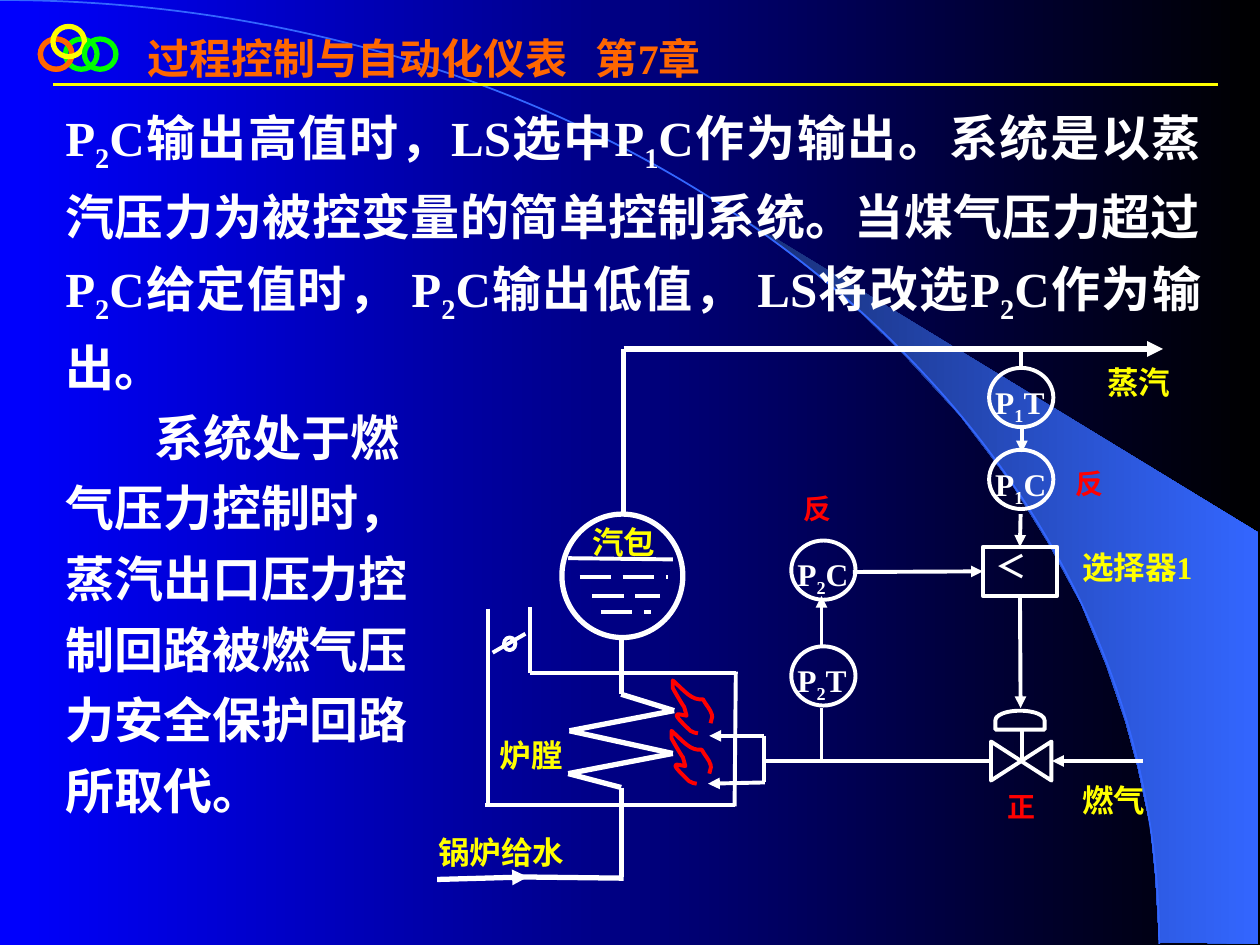
from itertools import groupby

from lxml import etree
from pptx import Presentation
from pptx.dml.color import RGBColor
from pptx.enum.dml import MSO_LINE
from pptx.enum.shapes import MSO_CONNECTOR, MSO_SHAPE
from pptx.enum.text import MSO_ANCHOR, PP_ALIGN
from pptx.oxml.ns import qn
from pptx.util import Pt

PX = 9144
STRAIGHT = MSO_CONNECTOR.STRAIGHT
OVAL, RECTANGLE = MSO_SHAPE.OVAL, MSO_SHAPE.RECTANGLE
JOINT, COLLATE = MSO_SHAPE.FLOWCHART_CONNECTOR, MSO_SHAPE.FLOWCHART_COLLATE
DELAY, LONG_DASH = MSO_SHAPE.FLOWCHART_DELAY, MSO_LINE.LONG_DASH
JUSTIFY, TOP = PP_ALIGN.JUSTIFY, MSO_ANCHOR.TOP
LATIN, CJK = "Times New Roman", "Noto Sans CJK SC"
THICK, THIN = 3, 2.25

COLORS = {
    "blue": "0000FF", "black": "000000", "navy": "182F76", "sky": "3366FF",
    "red": "FF0000", "vermilion": "FF3300", "orange": "FF6600",
    "green": "00FF00", "yellow": "FFFF00", "white": "FFFFFF",
}

TITLE = "过程控制与自动化仪表\t第7章"
HIGH_OUTPUT = (
    "P_2C输出高值时，LS选中P_1C作为输出。系统是以蒸汽压力为被控变量的简单控制系统。"
    "当煤气压力超过P_2C给定值时， P_2C输出低值， LS将改选P_2C作为输出。"
)
PROTECTION = "系统处于燃气压力控制时，蒸汽出口压力控制回路被燃气压力安全保护回路所取代。"
LABELS = [
    ("燃气", 849, 609, 81), ("锅炉给水", 338, 650, 146), ("蒸汽", 869, 277, 89),
    ("汽包", 460, 404, 89), ("炉膛", 387, 573, 80), ("选择器1", 849, 424, 127),
]
ACTIONS = [("反", 628, 380), ("反", 844, 360), ("正", 790, 616)]
INSTRUMENTS = [("P_2C", 628, 429), ("P_2T", 628, 513), ("P_1T", 785, 292), ("P_1C", 785, 357)]
RINGS = [("vermilion", 32, 31), ("green", 52, 31), ("orange", 32, 31),
         ("yellow", 42, 21), ("green", 67, 31)]

SWOOSH = [
    (920, 748), (999, 749), (999, 423), (589, 173), (624, 199), (653, 222),
    (685, 250), (716, 280), (762, 330), (803, 384), (832, 431), (858, 479),
    (878, 528), (893, 572), (903, 609), (913, 656), (917, 696),
]
ARC = [(0, 0), (508, 0), (920, 335), (920, 749)]
FLAME = [
    (554, 582), (552, 581), (550, 582), (548, 580), (530, 563), (538, 567),
    (545, 568), (544, 566), (544, 563), (543, 561), (542, 560), (535, 548),
    (534, 546), (534, 544), (534, 542), (534, 540), (544, 549), (549, 556),
    (558, 555), (560, 559), (564, 563), (565, 567), (566, 570), (564, 571), (564, 574),
]
FLAME_SHIFTS = [(0, 0), (-1, 40)]

THICK_PIPES = [
    [(495, 697), (414, 696)],
    [(493, 506), (493, 551), (535, 564), (452, 580), (534, 598), (451, 614), (493, 625), (493, 696)],
    [(495, 408), (495, 277)],
]
THICK_FLOWS = [[(347, 698), (419, 696)], [(495, 277), (923, 277)]]
THIN_PIPES = [
    [(387, 483), (387, 639)], [(385, 639), (583, 639)], [(583, 640), (584, 533)],
    [(584, 534), (421, 534), (421, 482)], [(608, 604), (788, 604)],
    [(451, 443), (534, 444)], [(606, 584), (606, 621)], [(652, 604), (652, 562)],
    [(810, 277), (810, 294)], [(391, 518), (417, 503)], [(811, 579), (811, 605)],
]
THIN_FLOWS = [
    [(907, 604), (835, 604)], [(607, 621), (562, 622)], [(606, 584), (563, 584)],
    [(811, 337), (811, 359)], [(652, 512), (652, 473)],
]
WATER_DASHES = [[(460, 458), (530, 458)], [(470, 473), (524, 473)], [(477, 486), (517, 486)]]
SELECTOR = (780, 434, 59, 39)
SELECTOR_INPUTS = [([(677, 454), (780, 454)], 1), ([(810, 408), (810, 434)], 0)]
SELECTOR_OUTPUT = [(810, 473), (810, 562)]

prs = Presentation()
prs.slide_width, prs.slide_height = 1000 * PX, 750 * PX
slide = prs.slides.add_slide(prs.slide_layouts[6])
shapes = slide.shapes


def rgb(color):
    return RGBColor.from_string(COLORS[color])


def shade(fill, *colors):
    fill.gradient()
    fill.gradient_angle = 0
    for stop, color in zip(fill.gradient_stops, colors):
        stop.color.rgb = rgb(color)


def stroke(line, color, width):
    line.color.rgb = rgb(color)
    line.width = Pt(width)


def outline(kind, box, color="white", width=THIN, rotation=0):
    shape = shapes.add_shape(kind, *(v * PX for v in box))
    shape.shadow.inherit = False
    shape.fill.background()
    stroke(shape.line, color, width)
    shape.rotation = rotation
    return shape


def freeform(points, close):
    builder = shapes.build_freeform(*points[0], scale=PX)
    builder.add_line_segments(points[1:], close=close)
    shape = builder.convert_to_shape()
    shape.shadow.inherit = False
    return shape


def curve(controls, color, width):
    shape = freeform(controls, False)
    legs = list(shape._element.iter(qn("a:lnTo")))
    for first, *others in zip(legs[::3], legs[1::3], legs[2::3]):
        bezier = etree.Element(qn("a:cubicBezTo"))
        first.addprevious(bezier)
        for leg in (first, *others):
            bezier.append(leg[0])
            leg.getparent().remove(leg)
    shape.fill.background()
    stroke(shape.line, color, width)


def connect(start, end, width=THIN, color="white", arrow=False, dash=None):
    link = shapes.add_connector(STRAIGHT, *(v * PX for v in (*start, *end)))
    stroke(link.line, color, width)
    if dash:
        link.line.dash_style = dash
    if arrow:
        etree.SubElement(link.line._get_or_add_ln(), qn("a:tailEnd"), type="triangle")
    etree.SubElement(link._element.spPr, qn("a:effectLst"))
    return link


def add_runs(paragraph, text, cjk_font):
    for i, part in enumerate(text.split("_")):
        if i:
            low = paragraph.add_run()
            low.text, part = part[0], part[1:]
            low.font._element.set("baseline", "-25000")
        if not cjk_font:
            paragraph.add_run().text = part
            continue
        for is_cjk, chars in groupby(part, lambda c: c == " " or not c.isascii()):
            run = paragraph.add_run()
            run.text = "".join(chars)
            if is_cjk:
                run.font.name = cjk_font


def write(frame, text, size, color, spacing=1.2, align=None, indent=0, tab=0,
          font=LATIN, cjk_font=None):
    frame.word_wrap = True
    frame.vertical_anchor = TOP
    paragraph = frame.paragraphs[0]
    props = paragraph._p.get_or_add_pPr()
    if indent:
        props.set("indent", str(indent * PX))
    if tab:
        stops = etree.SubElement(props, qn("a:tabLst"))
        etree.SubElement(stops, qn("a:tab"), pos=str(tab * PX), algn="l")
    if spacing:
        paragraph.line_spacing = spacing
    if align:
        paragraph.alignment = align
    paragraph.font.name, paragraph.font.size = font, Pt(size)
    paragraph.font.bold = True
    paragraph.font.color.rgb = rgb(color)
    add_runs(paragraph, text, cjk_font)


def text_box(box, *args, **kwargs):
    write(shapes.add_textbox(*(v * PX for v in box)).text_frame, *args, **kwargs)


shade(slide.background.fill, "blue", "black")
swoosh = freeform(SWOOSH, True)
shade(swoosh.fill, "navy", "sky")
swoosh.line.fill.background()
curve(ARC, "sky", 1)

connect((42, 67), (967, 67), 1.5, "yellow")
for color, x, y in RINGS:
    outline(OVAL, (x, y, 25, 24), color, THICK)
text_box((107, 21, 842, 50), TITLE, 24, "orange", spacing=None, tab=356)
text_box((42, 70, 921, 257), HIGH_OUTPUT, 28, "white", align=JUSTIFY, cjk_font=CJK)
text_box((42, 309, 295, 346), PROTECTION, 28, "white", indent=71)

for paths, width, arrow, dash in [
    (THICK_PIPES, THICK, False, None), (THICK_FLOWS, THICK, True, None),
    (THIN_PIPES, THIN, False, None), (THIN_FLOWS, THIN, True, None),
    (WATER_DASHES, THIN, False, LONG_DASH),
]:
    for path in paths:
        for start, end in zip(path, path[1:]):
            connect(start, end, width, arrow=arrow, dash=dash)

for dx, dy in FLAME_SHIFTS:
    curve([(x + dx, y + dy) for x, y in FLAME], "red", THIN)

outline(OVAL, (446, 408, 96, 98), width=THICK)
outline(JOINT, (400, 506, 9, 10))
outline(COLLATE, (795, 580, 31, 48), rotation=270)
outline(DELAY, (802, 552, 15, 39), rotation=270)

selector = outline(RECTANGLE, SELECTOR)
write(selector.text_frame, "＜", 18, "white", spacing=0.85, align=JUSTIFY, font=CJK)
for path, side in SELECTOR_INPUTS:
    connect(*path, arrow=True).end_connect(selector, side)
connect(*SELECTOR_OUTPUT, arrow=True).begin_connect(selector, 2)

for tag, x, y in INSTRUMENTS:
    outline(OVAL, (x, y, 51, 47))
    text_box((x - 5, y, 64, 35), tag, 18, "white", align=JUSTIFY)
for label, x, y, width in LABELS:
    text_box((x, y, width, 45), label, 18, "yellow", align=JUSTIFY)
for action, x, y in ACTIONS:
    text_box((x, y, 59, 42), action, 16, "red")

prs.save("out.pptx")
